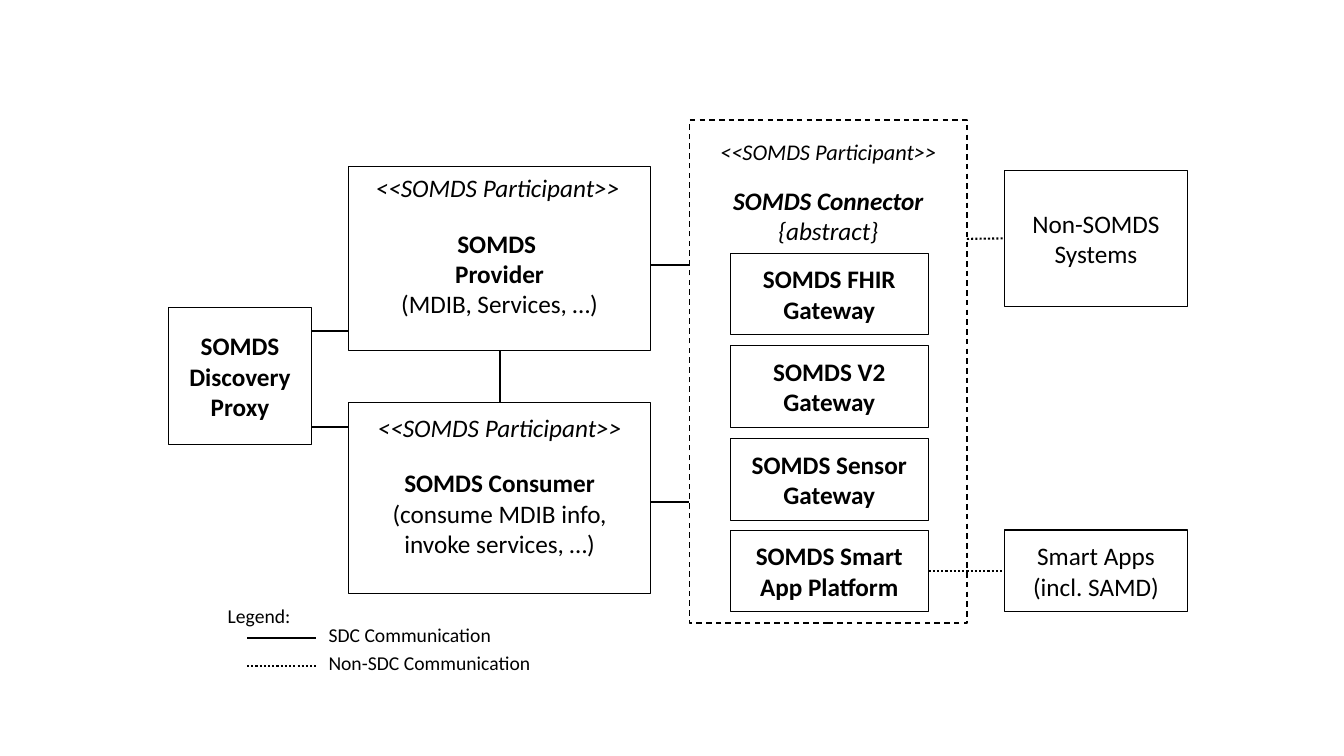
from pptx import Presentation, util as u
from pptx.dml.color import RGBColor
from pptx.enum import dml, shapes, text
from pptx.oxml.ns import qn
from lxml import etree

PX = 9144  # 100 px to the inch
FONT = "Calibri"
BLACK, WHITE = "000000", "FFFFFF"
DASH, DOT = dml.MSO_LINE.DASH, dml.MSO_LINE.ROUND_DOT
TOP, LEFT, BOTTOM, RIGHT = range(4)
ROLE = "<<SOMDS Participant>>"


def emu(*sizes):
    return [u.Emu(n * PX) for n in sizes]


def paint(target, color):
    """Give a font, fill or line format a solid colour."""
    if hasattr(target, "solid"):
        target.solid()
        target.fore_color.rgb = RGBColor.from_string(color)
    else:
        target.color.rgb = RGBColor.from_string(color)


def write(shape, paras, size=18, align=text.PP_ALIGN.CENTER,
          anchor=text.MSO_ANCHOR.MIDDLE, head=0):
    """Fill a shape with paragraphs of (words, style) runs, below a head of px."""
    frame = shape.text_frame
    frame.word_wrap = True
    frame.vertical_anchor = anchor
    frame.margin_left, frame.margin_right = emu(10, 10)
    frame.margin_top, frame.margin_bottom = emu(5 + head, 5)
    for i, runs in enumerate(paras):
        para = frame.add_paragraph() if i else frame.paragraphs[0]
        para.alignment = align
        for words, style in runs:
            run = para.add_run()
            run.text = words
            font = run.font
            font.name, font.size = FONT, u.Pt(size)
            font.bold, font.italic = "b" in style, "i" in style
            paint(font, BLACK)


def rect(slide, box, paras, width=0.5, fill=WHITE, dash=None, **kw):
    shape = slide.shapes.add_shape(shapes.MSO_SHAPE.RECTANGLE, *emu(*box))
    shape.shadow.inherit = False
    if fill:
        paint(shape.fill, fill)
    else:
        shape.fill.background()
    paint(shape.line, BLACK)
    shape.line.width = u.Pt(width)
    if dash:
        shape.line.dash_style = dash
    write(shape, paras, **kw)
    return shape


def label(slide, box, words, style="", **kw):
    shape = slide.shapes.add_textbox(*emu(*box))
    write(shape, [[(words, style)]], anchor=text.MSO_ANCHOR.TOP, **kw)


def link(slide, start, end, dash=None, begin=None, finish=None):
    """Draw a line; begin and finish are (shape, side) pairs to join."""
    line = slide.shapes.add_connector(
        shapes.MSO_CONNECTOR.STRAIGHT, *emu(*start, *end))
    etree.SubElement(line._element.spPr, qn("a:effectLst"))
    paint(line.line, BLACK)
    line.line.width = u.Pt(1.5)
    if dash:
        line.line.dash_style = dash
    if begin:
        line.begin_connect(*begin)
    if finish:
        line.end_connect(*finish)


def member(slide, box, role, paras):
    """Place a participant box; role is its label's box relative to it."""
    x, y, w, h = box
    shape = rect(slide, box, paras, head=30)
    dx, dy, wide, high = role
    label(slide, (x + dx, y + dy, wide, high), ROLE, "i")
    return shape


def hub(slide, box, names):
    """Place the dashed connector frame and return its last gateway."""
    x, y, w, h = box
    rect(slide, box, [[("SOMDS Connector ", "bi"), ("{abstract}", "i")]],
         width=1, fill=None, dash=DASH, anchor=text.MSO_ANCHOR.TOP, head=60)
    label(slide, (x, y + 13, w, 37), ROLE, "i", size=16)
    for i, name in enumerate(names):
        gate = rect(slide, (x + 40, y + 132 + round(i * 91.75), 197, 81),
                    [[(name, "b")]])
    return gate


def legend(slide, box):
    x, y, w, h = box
    kw = dict(size=14, align=text.PP_ALIGN.LEFT)
    label(slide, (x, y, 181, 34), "Legend:", **kw)
    rows = [("SDC Communication", None), ("Non-SDC Communication", DOT)]
    for i, (words, dash) in enumerate(rows):
        top = y + 19 + 28 * i
        link(slide, (x + 29, top + 20), (x + 97, top + 20), dash)
        label(slide, (x + 100, top, w - 100, 34), words, **kw)


def main():
    deck = Presentation()
    deck.slide_width, deck.slide_height = emu(1333, 750)
    slide = deck.slides.add_slide(deck.slide_layouts[6])

    smart = hub(slide, (684, 119, 275, 499),
                ["SOMDS FHIR Gateway", "SOMDS V2 Gateway",
                 "SOMDS Sensor Gateway", "SOMDS Smart App Platform"])
    other = rect(slide, (996, 169, 182, 135), [[("Non-SOMDS Systems", "")]],
                 width=1, fill=None)
    apps = rect(slide, (996, 526, 182, 81),
                [[("Smart Apps", "")], [("(incl. SAMD)", "")]],
                width=1, fill=None)
    giver = member(slide, (346, 165, 299, 183), (8, 1, 279, 39),
                   [[("SOMDS ", "b")], [("Provider", "b")],
                    [("(MDIB, Services, …)", "")]])
    taker = member(slide, (346, 399, 299, 190), (0, 5, 299, 40),
                   [[("SOMDS Consumer", "b")],
                    [("(consume MDIB info, invoke services, …)", "")]])
    rect(slide, (167, 305, 142, 136), [[("SOMDS Discovery Proxy", "b")]])
    legend(slide, (216, 594, 389, 81))

    for left, right, y in [(309, 346, 328), (309, 346, 424),
                           (645, 683, 263), (645, 683, 498)]:
        link(slide, (left, y), (right, y))
    link(slide, (496, 348), (496, 399),
         begin=(giver, BOTTOM), finish=(taker, TOP))
    link(slide, (959, 237), (996, 237), DOT, finish=(other, LEFT))
    link(slide, (921, 566), (996, 566), DOT,
         begin=(smart, RIGHT), finish=(apps, LEFT))
    deck.save("out.pptx")


if __name__ == "__main__":
    main()
